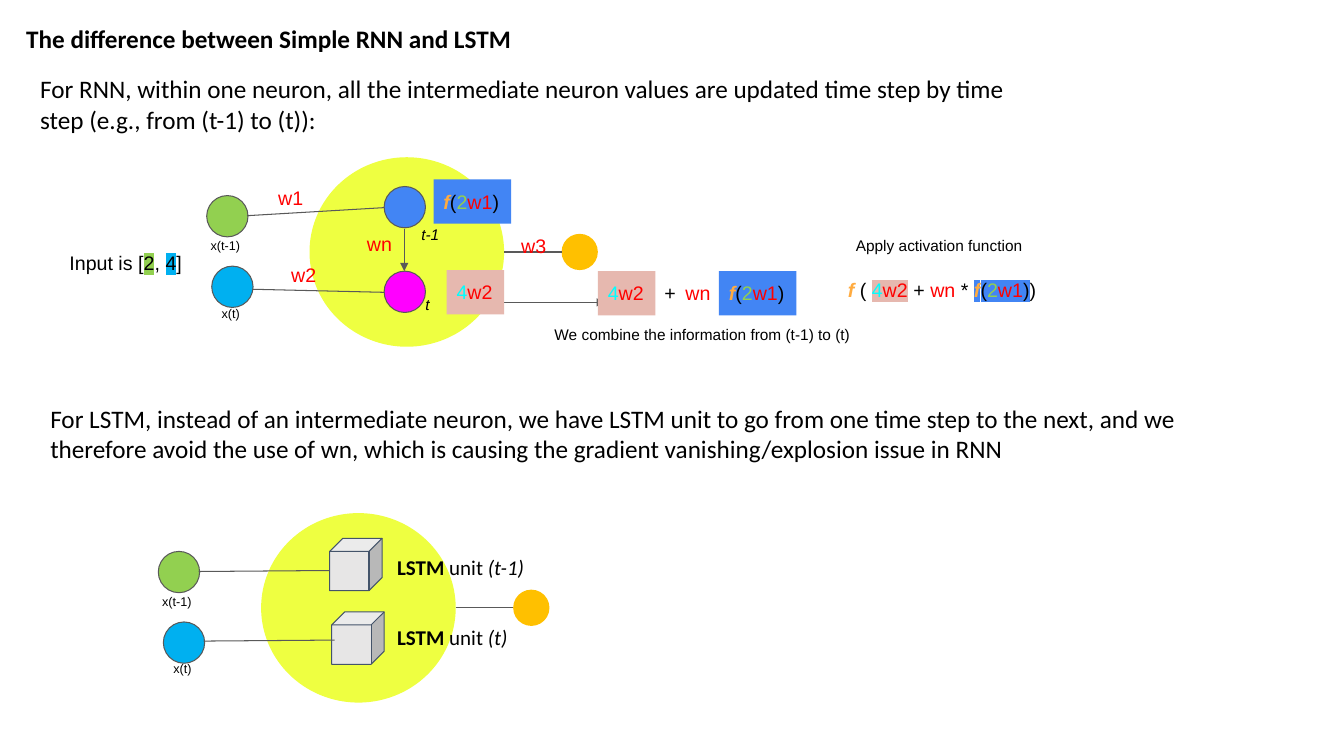
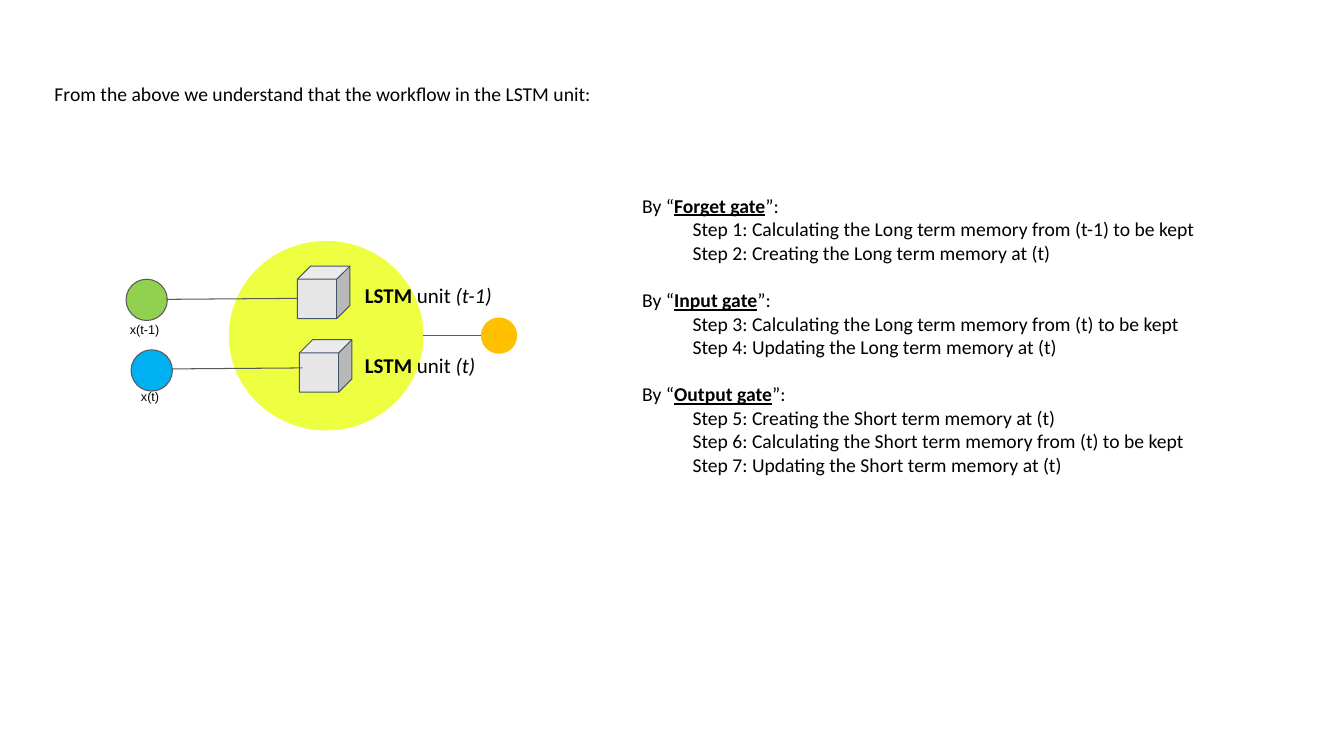
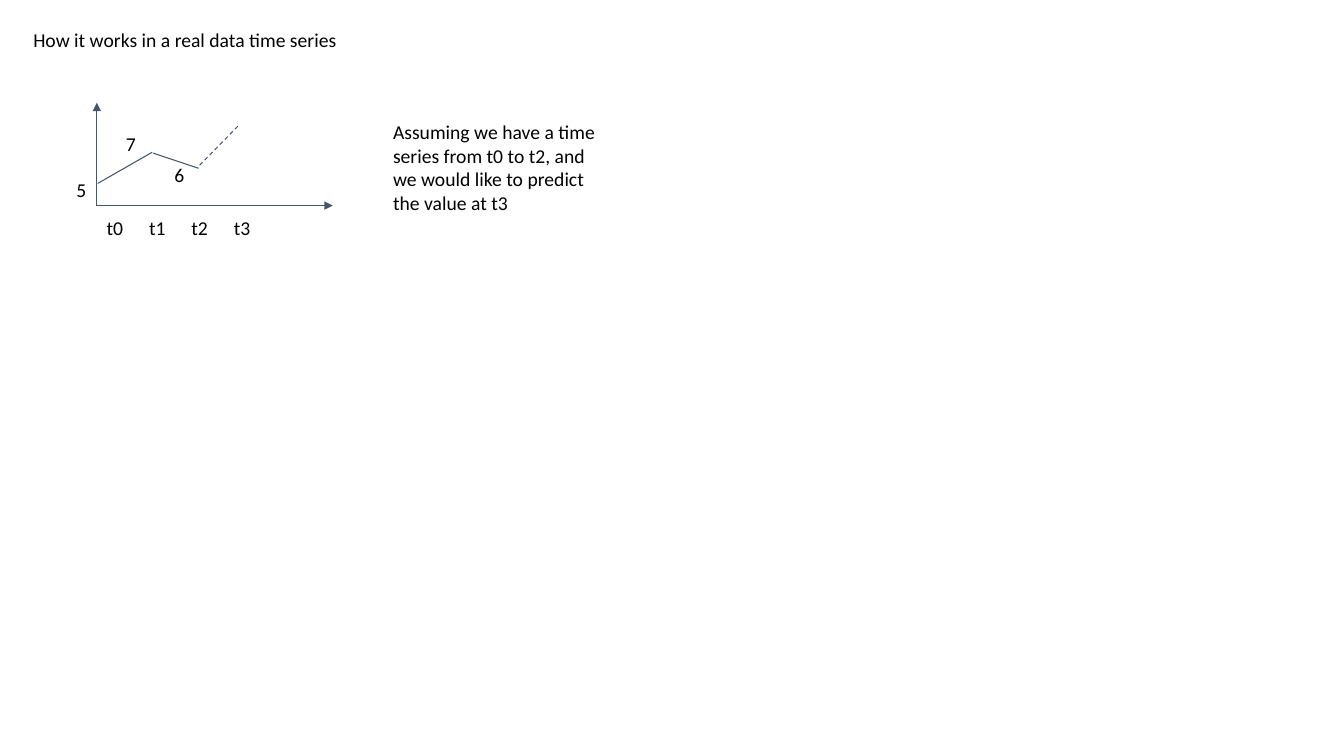
"""Build three slides that compare a simple RNN with an LSTM."""
from lxml.etree import SubElement
from pptx import Presentation
from pptx.dml.color import RGBColor
from pptx.enum.dml import MSO_LINE
from pptx.enum.shapes import MSO_CONNECTOR, MSO_SHAPE
from pptx.enum.text import MSO_ANCHOR, MSO_AUTO_SIZE, PP_ALIGN
from pptx.oxml.ns import qn
from pptx.util import Inches, Pt

BLACK, RED, GREEN, BLUE = "000000", "FF0000", "92D050", "00B0F0"
ORANGE, CYAN, PINK, ROYAL = "FFAB40", "00FFFF", "E6B8AF", "4285F4"
YELLOW, GOLD, MAGENTA = "EEFF41", "FFC000", "FF00FF"
GREY, NAVY, SILVER = "595959", "44546A", "E7E6E6"
BODY, LABEL = "Calibri", "Arial"
INSET, DOT, OUTPUT_DOT, CUBE = 0.1, 0.41, 0.36, 0.52
LABEL_HEIGHT, LINE_WIDTH = 0.44, 0.75

FUNCTION_RUNS = [("f", ORANGE, "bi"), ("(", BLACK), ("2", GREEN), ("w1", RED), (")", BLACK)]
WEIGHT_RUNS = [("4", CYAN), ("w2", RED)]
INPUT_RUNS = [("Input is [", BLACK), ("2", BLACK, "", GREEN), (", ", BLACK),
              ("4", BLACK, "", BLUE), ("]", BLACK)]

TITLES = [
    ("The difference between Simple RNN and LSTM", (0.16, 0.13, 5.06, 0.5), 18, True),
    ("From the above we understand that the workflow in the LSTM unit:",
     (0.44, 0.71, 5.75, LABEL_HEIGHT), 14, False),
    ("How it works in a real data time series", (0.23, 0.18, 5.75, LABEL_HEIGHT), 14, False),
]
EXPLANATIONS = [
    ("For RNN, within one neuron, all the intermediate neuron values are updated time step "
     "by time step (e.g., from (t-1) to (t)):", (0.3, 0.63, 9.77, 0.81)),
    ("For LSTM, instead of an intermediate neuron, we have LSTM unit to go from one time step "
     "to the next, and we therefore avoid the use of wn, which is causing the gradient "
     "vanishing/explosion issue in RNN", (0.4, 3.9, 12.22, 0.81)),
]
INPUT_DOTS = [("x(t-1)", GREEN, -1.02, 0.38, -1.08, 0.7, 0.52),
              ("x(t)", BLUE, -0.97, 1.08, -0.97, 1.37, DOT)]
LSTM_UNITS = [("(t-1)", 0.68, 0.25, 0.31, (-0.62, 0.58, 0.68, 0.57)),
              ("(t)", 0.7, 0.98, 1.01, (-0.57, 1.27, 0.73, 1.26))]
WEIGHT_LABELS = [("w1", 2.66, 1.74), ("w2", 2.79, 2.51), ("w3", 5.07, 2.22),
                 ("wn", 3.54, 2.2), ("wn", 6.7, 2.69)]
SMALL_LABELS = [("t-1", 4.08, 2.13, DOT, "i"), ("t", 4.12, 2.83, DOT, "i"),
                ("We combine the information from (t-1) to (t)", 5.4, 3.13, 3.21, ""),
                ("Apply activation function", 8.39, 2.24, 1.93, "")]
FORMULA_BOXES = [(FUNCTION_RUNS, ROYAL, 4.3, 1.78, 0.77), (WEIGHT_RUNS, PINK, 4.43, 2.68, 0.57),
                 (FUNCTION_RUNS, ROYAL, 7.13, 2.69, 0.77), (WEIGHT_RUNS, PINK, 5.93, 2.69, 0.57)]
CURVES = [
    (GREEN, [(1.51, 2.43), (1.52, 2.39), (1.51, 2.28), (1.56, 2.24), (1.6, 2.19),
             (1.7, 2.16), (1.78, 2.15), (1.85, 2.14), (1.96, 2.17), (2, 2.18)]),
    (BLUE, [(1.73, 2.79), (1.73, 2.81), (1.73, 2.9), (1.77, 2.94), (1.8, 2.97),
            (1.88, 3.01), (1.93, 3.01), (1.98, 3.01), (2.04, 2.96), (2.06, 2.95)]),
    (GREY, [(5.08, 2.93), (5.1, 2.91), (5.14, 2.82), (5.19, 2.82), (5.25, 2.82),
            (5.34, 2.92), (5.39, 2.93), (5.45, 2.95), (5.46, 2.91), (5.52, 2.9),
            (5.57, 2.89), (5.7, 2.89), (5.74, 2.89)]),
    (GREY, [(7.96, 2.9), (7.97, 2.9), (8.03, 2.9), (8.05, 2.9), (8.08, 2.9),
            (8.08, 2.88), (8.11, 2.88), (8.14, 2.88), (8.21, 2.89), (8.25, 2.9),
            (8.28, 2.9), (8.31, 2.9), (8.32, 2.9)]),
]
GATES = [
    ("Forget gate", ["Calculating the Long term memory from (t-1) to be kept",
                     "Creating the Long term memory at (t)"]),
    ("Input gate", ["Calculating the Long term memory from (t) to be kept",
                    "Updating the Long term memory at (t)"]),
    ("Output gate", ["Creating the Short term memory at (t)",
                     "Calculating the Short term memory from (t) to be kept",
                     "Updating the Short term memory at (t)"]),
]
AXIS_LEFT, AXIS_BOTTOM = 0.96, 2.04
AXES = [(AXIS_LEFT, AXIS_BOTTOM, AXIS_LEFT, 1.02), (AXIS_LEFT, AXIS_BOTTOM, 3.3, AXIS_BOTTOM)]
SERIES = [(0.97, 1.82, 1.51, 1.51), (1.52, 1.52, 1.97, 1.67)]
FORECAST = (1.98, 1.64, 2.38, 1.23)
VALUES = [("5", 0.66, 1.67), ("7", 1.15, 1.21), ("6", 1.63, 1.52)]
TIME_STEP = 0.42


def colour(value):
    return RGBColor.from_string(value)


def inches(lengths):
    return [Inches(length) for length in lengths]


def write_paragraph(paragraph, runs, size, name):
    """Fill a paragraph with (text, colour, flags, highlight) runs."""
    paragraph.alignment = PP_ALIGN.LEFT
    paragraph.font.size, paragraph.font.name = Pt(size), name
    for text, shade, *extra in runs:
        flags, highlight = (extra + ["", None][len(extra):])
        run = paragraph.add_run()
        run.text = text
        run.font.color.rgb = colour(shade)
        for flag, attribute in (("b", "bold"), ("i", "italic"), ("u", "underline")):
            if flag in flags:
                setattr(run.font, attribute, True)
        if highlight:
            properties = run.font._element
            mark = SubElement(properties, qn("a:highlight"))
            SubElement(mark, qn("a:srgbClr")).set("val", highlight)
            properties.find(qn("a:solidFill")).addnext(mark)


def prepare_frame(shape):
    frame = shape.text_frame
    frame.word_wrap = True
    frame.auto_size = MSO_AUTO_SIZE.NONE
    frame.vertical_anchor = MSO_ANCHOR.TOP
    frame.margin_left = frame.margin_right = Inches(INSET)
    frame.margin_top = frame.margin_bottom = Inches(INSET)
    return frame


def add_text(slide, box, runs, size=14, name=LABEL):
    frame = prepare_frame(slide.shapes.add_textbox(*inches(box)))
    write_paragraph(frame.paragraphs[0], runs, size, name)


def add_titled_slide(presentation, text, box, size, bold):
    slide = presentation.slides.add_slide(presentation.slide_layouts[5])
    title = slide.shapes.title
    title.left, title.top, title.width, title.height = inches(box)
    frame = prepare_frame(title)
    write_paragraph(frame.paragraphs[0], [(text, BLACK, "b" if bold else "")], size, BODY)
    return slide


def add_shape(slide, kind, box, fill, line=None):
    shape = slide.shapes.add_shape(kind, *inches(box))
    shape.shadow.inherit = False
    shape.fill.solid()
    shape.fill.fore_color.rgb = colour(fill)
    if line:
        format_line(shape.line, line)
    else:
        shape.line.fill.background()
    return shape


def add_dot(slide, left, top, fill):
    add_shape(slide, MSO_SHAPE.OVAL, (left, top, DOT, DOT), fill, GREY)


def format_line(line, shade, arrow=False, dashed=False):
    line.color.rgb = colour(shade)
    line.width = Pt(LINE_WIDTH)
    if dashed:
        line.dash_style = MSO_LINE.DASH
    if arrow:
        SubElement(line._get_or_add_ln(), qn("a:tailEnd")).set("type", "triangle")


def add_line(slide, ends, shade=GREY, arrow=False, dashed=False):
    connector = slide.shapes.add_connector(MSO_CONNECTOR.STRAIGHT, *inches(ends))
    format_line(connector.line, shade, arrow, dashed)
    SubElement(connector._element.spPr, qn("a:effectLst"))


def add_curve(slide, shade, points):
    """Draw an arrow along cubic Bézier points, three to a segment."""
    start, *controls = points
    builder = slide.shapes.build_freeform(*start, scale=Inches(1) / 1.0)
    scaled = [(x, y) for x, y in controls]
    builder.add_line_segments(scaled, close=False)
    shape = builder.convert_to_shape()
    shape.shadow.inherit = False
    shape.fill.background()
    format_line(shape.line, shade, arrow=True)
    segments = list(shape._element.iter(qn("a:lnTo")))
    for first in range(0, len(segments), 3):
        bezier = SubElement(segments[first].getparent(), qn("a:cubicBezTo"))
        for segment in segments[first:first + 3]:
            bezier.append(segment[0])
            segment.getparent().remove(segment)


def add_network(slide, left, top):
    """Draw the inputs, the large neuron and its output."""
    add_shape(slide, MSO_SHAPE.OVAL, (left, top, 1.93, 1.88), YELLOW)
    add_shape(slide, MSO_SHAPE.OVAL, (left + 2.5, top + 0.76, OUTPUT_DOT, OUTPUT_DOT), GOLD)
    add_line(slide, (left + 1.93, top + 0.94, left + 2.5, top + 0.94))
    for text, fill, dot_x, dot_y, text_x, text_y, width in INPUT_DOTS:
        add_dot(slide, left + dot_x, top + dot_y, fill)
        add_text(slide, (left + text_x, top + text_y, width, 0.35), [(text, BLACK)], 9)


def add_lstm_network(slide, left, top):
    add_network(slide, left, top)
    for step, cube_x, cube_y, text_y, (x1, y1, x2, y2) in LSTM_UNITS:
        add_shape(slide, MSO_SHAPE.CUBE, (left + cube_x, top + cube_y, CUBE, CUBE), SILVER, NAVY)
        add_line(slide, (left + x1, top + y1, left + x2, top + y2))
        add_text(slide, (left + 1.25, top + text_y, 1.93, 0.45),
                 [("LSTM", BLACK, "b"), (" unit ", BLACK), (step, BLACK, "i")], 15, BODY)


def add_rnn_network(slide):
    add_network(slide, 3.07, 1.56)
    add_text(slide, (0.59, 2.39, 1.33, LABEL_HEIGHT), INPUT_RUNS)
    for shade, points in CURVES:
        add_curve(slide, shade, points)
    for ends in ((2.45, 2.14, 3.81, 2.06), (2.51, 2.87, 3.81, 2.9)):
        add_line(slide, ends)
    add_line(slide, (4.01, 2.27, 4.01, 2.69), arrow=True)
    for top, fill in ((1.85, ROYAL), (2.69, MAGENTA)):
        add_dot(slide, 3.81, top, fill)
    for runs, fill, left, top, width in FORMULA_BOXES:
        box = add_shape(slide, MSO_SHAPE.RECTANGLE, (left, top, width, LABEL_HEIGHT), fill)
        write_paragraph(prepare_frame(box).paragraphs[0], runs, 14, LABEL)
    for text, left, top in WEIGHT_LABELS:
        add_text(slide, (left, top, 0.49, LABEL_HEIGHT), [(text, RED)])
    add_text(slide, (6.49, 2.69, 0.33, LABEL_HEIGHT), [("+", BLACK)])
    for text, left, top, width, flags in SMALL_LABELS:
        add_text(slide, (left, top, width, 0.39), [(text, BLACK, flags)], 11)
    weight = [(text, shade, "", PINK) for text, shade in WEIGHT_RUNS]
    function = [(text, shade, "".join(flags), ROYAL) for text, shade, *flags in FUNCTION_RUNS]
    add_text(slide, (8.31, 2.66, 2.12, LABEL_HEIGHT),
             [("f ", ORANGE, "bi"), ("( ", BLACK), *weight, (" + ", BLACK), ("wn ", RED),
              ("* ", BLACK), *function, (")", BLACK)])


def add_gates(slide):
    frame = prepare_frame(slide.shapes.add_textbox(*inches((6.27, 1.82, 6.32, 3.03))))
    paragraph, number = frame.paragraphs[0], 0
    for index, (gate, steps) in enumerate(GATES):
        if index:
            paragraph = frame.add_paragraph()
            paragraph.space_before = Pt(17)
        write_paragraph(paragraph, [("By “", BLACK), (gate, BLACK, "bu"), ("”:", BLACK)], 14, BODY)
        for step in steps:
            number += 1
            paragraph = frame.add_paragraph()
            write_paragraph(paragraph, [(f"Step {number}: {step}", BLACK)], 14, BODY)
            paragraph._p.get_or_add_pPr().set("marL", str(Inches(0.5)))


def add_time_series(slide):
    for ends in AXES:
        add_line(slide, ends, NAVY, arrow=True)
    for ends in SERIES:
        add_line(slide, ends, NAVY)
    add_line(slide, FORECAST, NAVY, dashed=True)
    for step in range(4):
        add_text(slide, (AXIS_LEFT + step * TIME_STEP, AXIS_BOTTOM, 0.48, LABEL_HEIGHT),
                 [(f"t{step}", BLACK)], 14, BODY)
    for value, left, top in VALUES:
        add_text(slide, (left, top, 0.29, LABEL_HEIGHT), [(value, BLACK)], 14, BODY)
    add_text(slide, (3.8, 1.09, 2.24, 1.14),
             [("Assuming we have a time series from t0 to t2, and we would like to predict "
               "the value at t3", BLACK)], 14, BODY)


def main():
    presentation = Presentation()
    presentation.slide_width, presentation.slide_height = inches((13.33, 7.5))
    comparison, workflow, example = [add_titled_slide(presentation, *title) for title in TITLES]
    for text, box in EXPLANATIONS:
        add_text(comparison, box, [(text, BLACK)], 18, BODY)
    add_rnn_network(comparison)
    add_lstm_network(comparison, 2.59, 5.09)
    add_lstm_network(workflow, 2.27, 2.39)
    add_gates(workflow)
    add_time_series(example)
    presentation.save("out.pptx")


if __name__ == "__main__":
    main()
